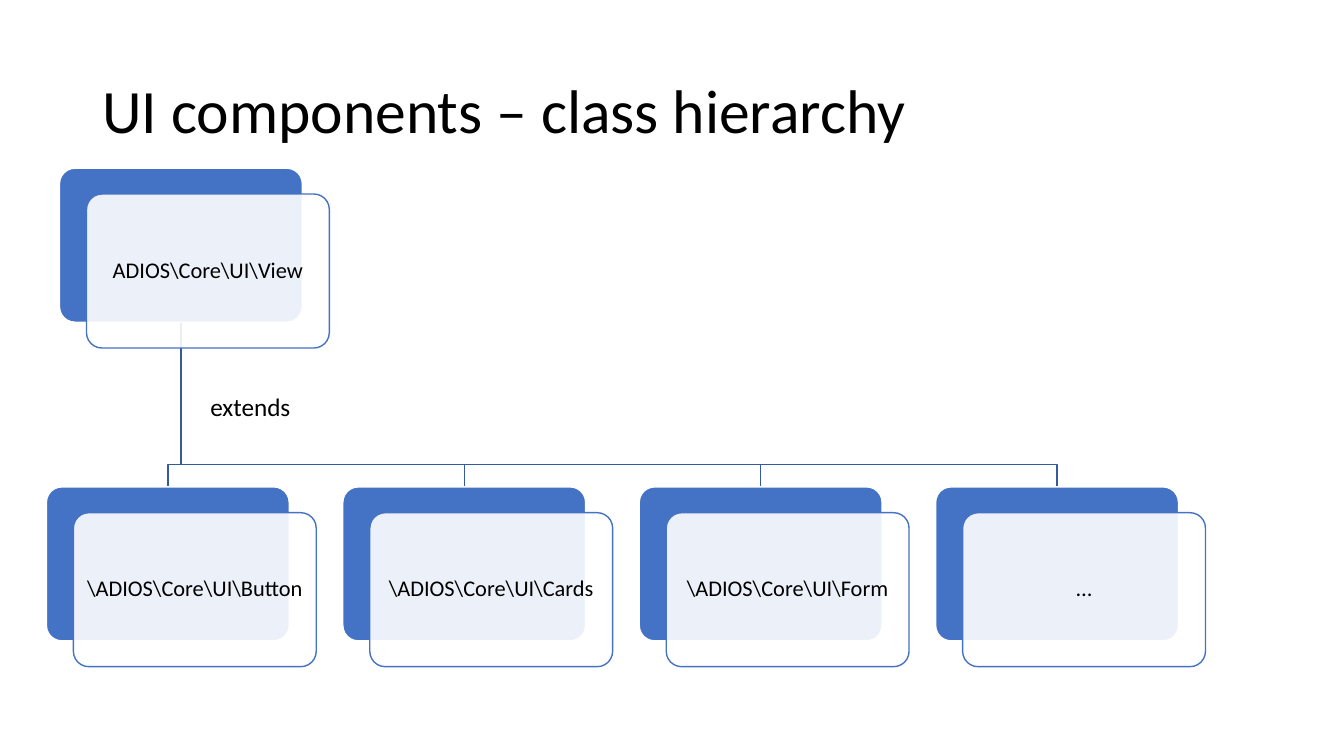
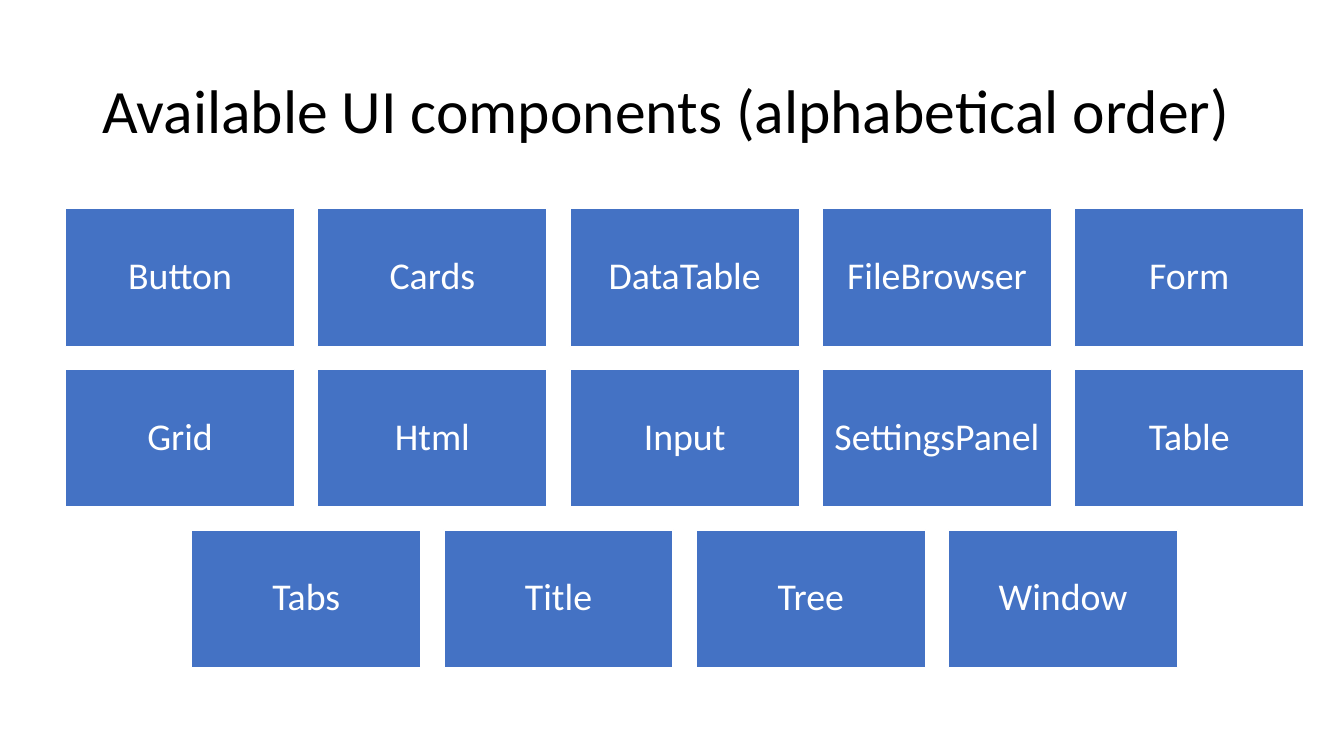
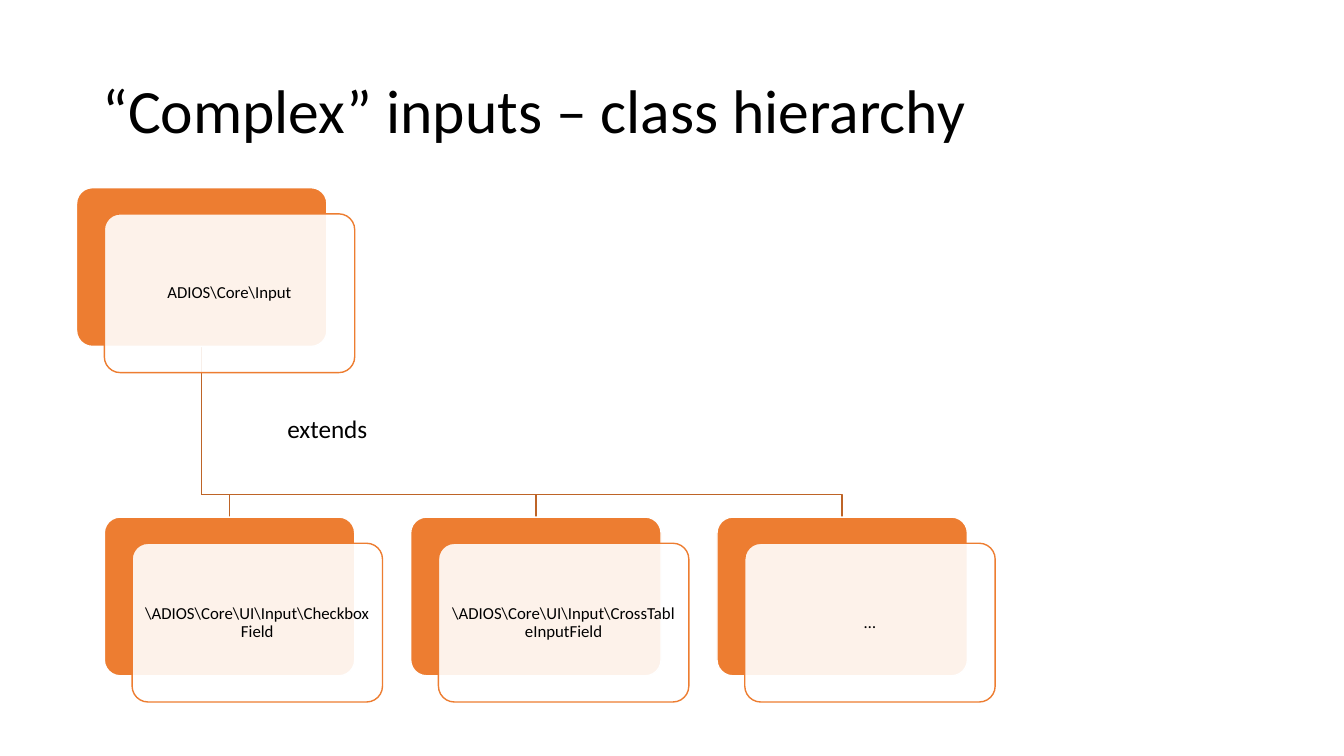
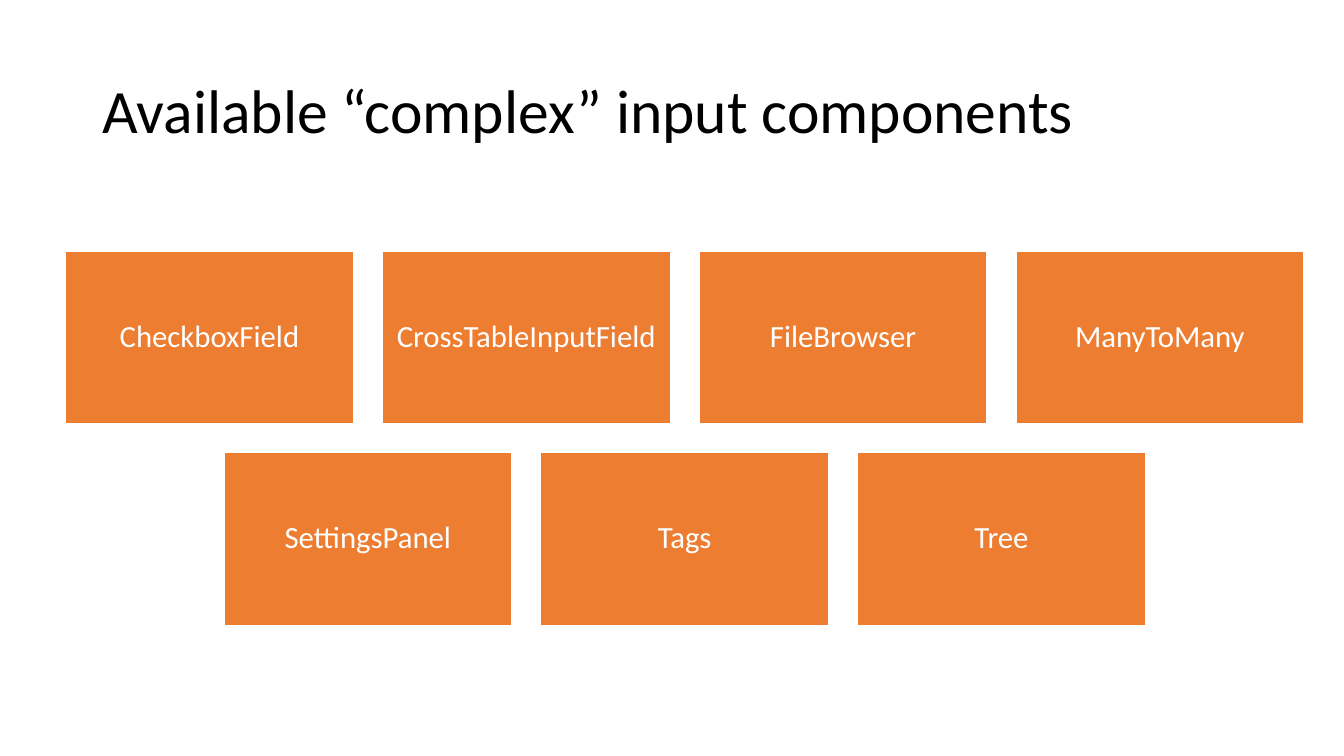
from lxml.etree import SubElement
from pptx import Presentation
from pptx.dml.color import RGBColor
from pptx.enum.shapes import MSO_SHAPE
from pptx.enum.text import MSO_ANCHOR, PP_ALIGN
from pptx.oxml.ns import qn
from pptx.util import Cm, Pt

BLUE, DARK_BLUE = "4472C4", "365B9D"
ORANGE, DARK_ORANGE = "ED7D31", "BE6427"
BLACK, WHITE = "000000", "FFFFFF"


def color(value):
    return RGBColor.from_string(value)


def set_all(target, values):
    for name, value in values.items():
        setattr(target, name, value)


class Deck:
    font = "Calibri"
    line_width = Pt(1)
    grid_left, grid_width, grid_middle = 1.65, 31.21, 11.04
    gap_ratio, height_ratio = 0.1, 0.6

    def __init__(self):
        self.presentation = Presentation()
        set_all(self.presentation, {"slide_width": Cm(33.87), "slide_height": Cm(19.05)})
        self.slide = None

    def add_slide(self, title):
        self.slide = self.presentation.slides.add_slide(self.presentation.slide_layouts[6])
        self.text_box(title, 2.33, 1.02, 29.21, 3.68, 44, spacing=0.9)

    def add_text(self, shape, text, size, text_color, align, spacing, margin=None):
        frame = shape.text_frame
        set_all(frame, {"word_wrap": True, "vertical_anchor": MSO_ANCHOR.MIDDLE})
        if margin is not None:
            sides = ("left", "top", "right", "bottom")
            set_all(frame, {f"margin_{side}": Cm(margin) for side in sides})
        paragraph = frame.paragraphs[0]
        set_all(paragraph, {"alignment": align, "line_spacing": spacing})
        run = paragraph.add_run()
        run.text = text
        set_all(run.font, {"name": self.font, "size": Pt(size)})
        run.font.color.rgb = color(text_color)

    def text_box(self, text, left, top, width, height, size, spacing=1.0):
        shape = self.slide.shapes.add_textbox(Cm(left), Cm(top), Cm(width), Cm(height))
        self.add_text(shape, text, size, BLACK, PP_ALIGN.LEFT, spacing)

    def outline(self, shape, line):
        shape.shadow.inherit = False
        shape.line.color.rgb = color(line)
        shape.line.width = self.line_width

    def box(self, kind, left, top, width, height, fill, line):
        shape = self.slide.shapes.add_shape(kind, Cm(left), Cm(top), Cm(width), Cm(height))
        shape.fill.solid()
        shape.fill.fore_color.rgb = color(fill)
        self.outline(shape, line)
        return shape

    def card(self, text, left, top, style):
        width, height = style["card"]
        shift_x, shift_y = style["shift"]
        accent = style["accent"]
        kind = MSO_SHAPE.ROUNDED_RECTANGLE
        back = self.box(kind, left, top, width, height, accent, WHITE)
        front = self.box(kind, left + shift_x, top + shift_y, width, height, WHITE, accent)
        for shape in (back, front):
            shape.adjustments[0] = 0.1
        fill_color = front.element.spPr.find(qn("a:solidFill"))[0]
        SubElement(fill_color, qn("a:alpha"), val="90000")
        self.add_text(front, text, style["size"], BLACK, PP_ALIGN.CENTER, 0.9, style["margin"])

    def elbow(self, start, end, bend, line):
        points = [(start[0], bend), (end[0], bend), end]
        builder = self.slide.shapes.build_freeform(Cm(start[0]), Cm(start[1]))
        builder.add_line_segments([(Cm(x), Cm(y)) for x, y in points], close=False)
        shape = builder.convert_to_shape()
        shape.fill.background()
        self.outline(shape, line)

    def hierarchy(self, root, children, style):
        width, height = style["card"]
        root_left, root_top = style["root"]
        first_left, child_top = style["first_child"]
        lefts = [first_left + index * style["pitch"] for index in range(len(children))]
        start = (root_left + width / 2, root_top + height)
        for left in reversed(lefts):
            end = (left + width / 2, child_top)
            self.elbow(start, end, child_top - 0.57, style["line"])
        self.card(root, root_left, root_top, style)
        for text, left in zip(children, lefts):
            self.card(text, left, child_top, style)
        self.text_box("extends", *style["label"], 5.28, 1.02, 18)

    def tile_grid(self, names, columns, fill, size, margin):
        rows = [names[index:index + columns] for index in range(0, len(names), columns)]
        width = self.grid_width / (columns + (columns - 1) * self.gap_ratio)
        gap, height = width * self.gap_ratio, width * self.height_ratio
        top = self.grid_middle - (len(rows) * (height + gap) - gap) / 2
        for row in rows:
            row_width = len(row) * (width + gap) - gap
            left = self.grid_left + (self.grid_width - row_width) / 2
            for name in row:
                tile = self.box(MSO_SHAPE.RECTANGLE, left, top, width, height, fill, WHITE)
                self.add_text(tile, name, size, WHITE, PP_ALIGN.CENTER, 0.9, margin)
                left += width + gap
            top += height + gap


COMPONENT_STYLE = {
    "accent": BLUE, "line": DARK_BLUE, "size": 16, "margin": 0.17,
    "card": (6.12, 3.88), "shift": (0.68, 0.65), "root": (1.5, 4.24),
    "first_child": (1.17, 12.27), "pitch": 7.47, "label": (5.05, 9.73),
}
INPUT_STYLE = {
    "accent": ORANGE, "line": DARK_ORANGE, "size": 12, "margin": 0.13,
    "card": (6.31, 4.0), "shift": (0.7, 0.66), "root": (1.93, 4.73),
    "first_child": (2.63, 13.03), "pitch": 7.72, "label": (6.99, 10.29),
}


def main():
    deck = Deck()

    deck.add_slide("UI components – class hierarchy")
    deck.hierarchy(
        r"ADIOS\Core\UI\View",
        [r"\ADIOS\Core\UI\Button", r"\ADIOS\Core\UI\Cards", r"\ADIOS\Core\UI\Form", "…"],
        COMPONENT_STYLE,
    )

    deck.add_slide("Available UI components (alphabetical order)")
    deck.tile_grid(
        ["Button", "Cards", "DataTable", "FileBrowser", "Form",
         "Grid", "Html", "Input", "SettingsPanel", "Table",
         "Tabs", "Title", "Tree", "Window"],
        5, BLUE, 27, 0.27,
    )

    deck.add_slide("“Complex” inputs – class hierarchy")
    deck.hierarchy(
        r"ADIOS\Core\Input",
        [r"\ADIOS\Core\UI\Input\CheckboxField",
         r"\ADIOS\Core\UI\Input\CrossTableInputField", "…"],
        INPUT_STYLE,
    )

    deck.add_slide("Available “complex” input components")
    deck.tile_grid(
        ["CheckboxField", "CrossTableInputField", "FileBrowser", "ManyToMany",
         "SettingsPanel", "Tags", "Tree"],
        4, ORANGE, 22, 0.23,
    )

    deck.presentation.save("out.pptx")


if __name__ == "__main__":
    main()
